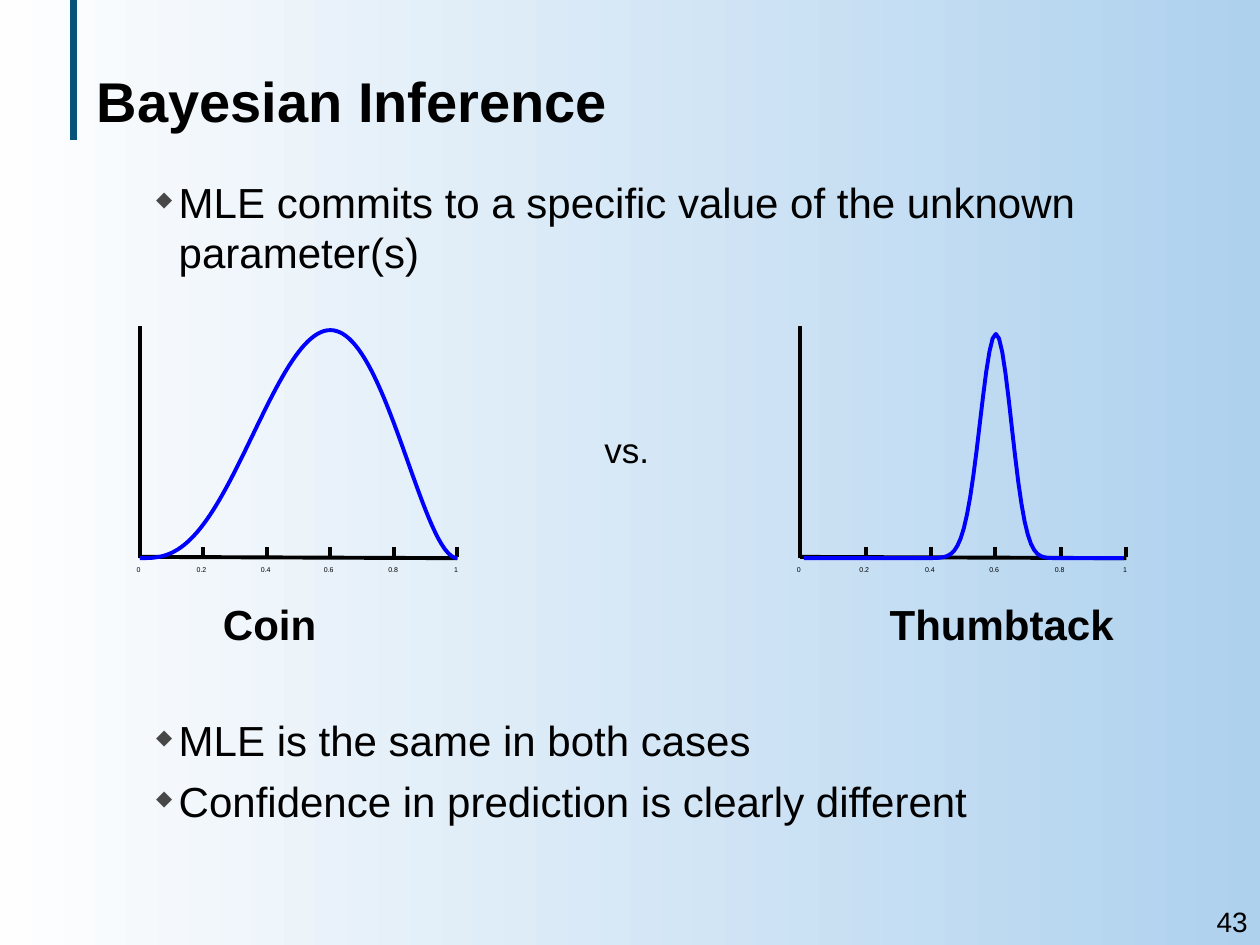
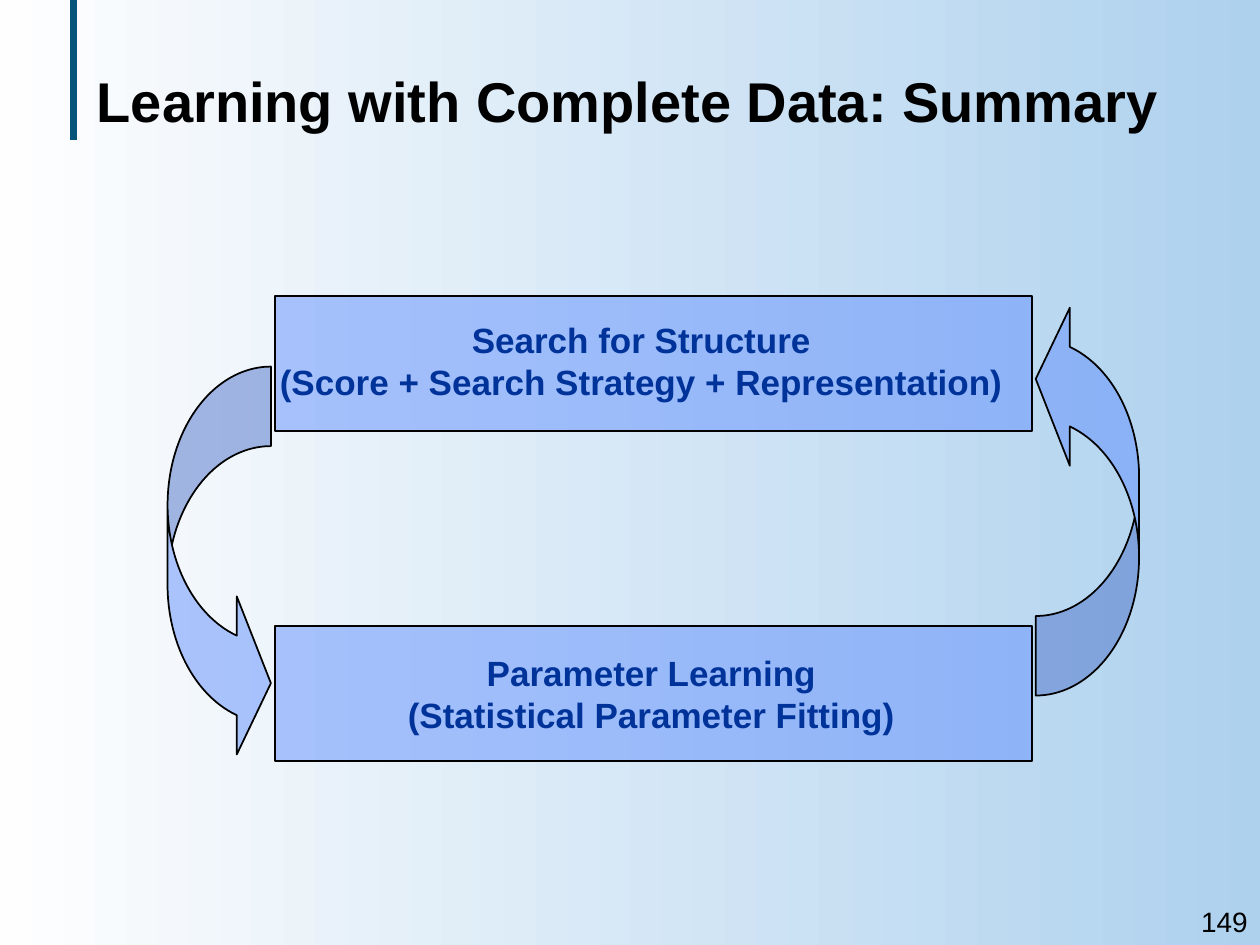
"""Build two slides on Bayesian inference and learning with complete data."""
from lxml.etree import SubElement
from pptx import Presentation
from pptx.dml.color import RGBColor
from pptx.enum.shapes import MSO_CONNECTOR as CONN, MSO_SHAPE as SHAPE
from pptx.enum.text import MSO_ANCHOR as ANCHOR, MSO_AUTO_SIZE as FIT, PP_ALIGN as ALIGN
from pptx.oxml.ns import qn
from pptx.util import Pt

PX = 9144
rgb = RGBColor.from_string
BLACK, NAVY, BLUE, PERIWINKLE = "000000", "003399", "0000FF", "618FFD"
SKY, WHITE, TEAL, GREY = "AED1EE", "FEFEFE", "07547A", "474747"


def add_text(s, box, lines, size, color=BLACK, bold=False, align=ALIGN.CENTER,
             anchor=ANCHOR.MIDDLE, wrap=False, margins=(10, 5), bullet=None):
    tf = s.shapes.add_textbox(*[v * PX for v in box]).text_frame
    mx, my = [m * PX for m in margins]
    frame = dict(word_wrap=wrap, vertical_anchor=anchor, margin_left=mx,
                 margin_right=mx, margin_top=my, margin_bottom=my,
                 auto_size=FIT.NONE if wrap else FIT.SHAPE_TO_FIT_TEXT)
    for name, value in frame.items():
        setattr(tf, name, value)
    for i, line in enumerate(lines):
        p = tf.add_paragraph() if i else tf.paragraphs[0]
        p.alignment = align
        if bullet:
            if i:
                p.space_before = Pt(6)
            pPr = p._p.get_or_add_pPr()
            pPr.set("marL", str(23 * PX))
            pPr.set("indent", str(-18 * PX))
            clr = SubElement(pPr, qn("a:buClr"))
            SubElement(clr, qn("a:srgbClr"), val=GREY)
            SubElement(pPr, qn("a:buSzPct"), val="50000")
            SubElement(pPr, qn("a:buChar"), char=bullet)
        r = p.add_run()
        r.text = line
        for name, value in dict(name="Arial", size=Pt(size), bold=bold).items():
            setattr(r.font, name, value)
        r.font.color.rgb = rgb(color)


def add_line(s, x1, y1, x2, y2, color=BLACK, width=2.25):
    ends = [v * PX for v in (x1, y1, x2, y2)]
    c = s.shapes.add_connector(CONN.STRAIGHT, *ends)
    c.line.color.rgb = rgb(color)
    c.line.width = Pt(width)
    SubElement(c._element.spPr, qn("a:effectLst"))


prs = Presentation()
prs.slide_width, prs.slide_height = 1000 * PX, 750 * PX
bg = prs.slide_master.background.fill
bg.gradient()
bg.gradient_angle = 180
for stop, position, color in zip(bg.gradient_stops, (0, 1), (SKY, WHITE)):
    stop.position = position
    stop.color.rgb = rgb(color)

slides = []
for title, number in [("Bayesian Inference", "43"),
                      ("Learning with Complete Data: Summary", "149")]:
    s = prs.slides.add_slide(prs.slide_layouts[6])
    add_line(s, 58, 0, 58, 111, TEAL, 4)
    add_text(s, (67, 17, 892, 125), [title], 32, bold=True, align=ALIGN.LEFT, wrap=True)
    add_text(s, (899, 713, 101, 37), [number], 16, align=ALIGN.RIGHT, wrap=True)
    slides.append(s)
inference, summary = slides

s = inference
bullets = [
    (135, 100, ["MLE commits to a specific value of the unknown parameter(s)"]),
    (562, 119, ["MLE is the same in both cases",
                "Confidence in prediction is clearly different"]),
]
for top, height, lines in bullets:
    add_text(s, (109, top, 849, height), lines, 24, align=ALIGN.LEFT,
             anchor=ANCHOR.TOP, wrap=True, bullet="◆")

BASE, TOP, MODE = 443, 259, 0.6
plots = [
    dict(axis=(111, 252), curve=(111, 252), peak=181, heads=3, tails=2,
         name="Coin", label=(157, 114)),
    dict(axis=(635, 259), curve=(638, 254), peak=178, heads=60, tails=40,
         name="Thumbtack", label=(686, 218)),
]
for plot in plots:
    left, width = plot["axis"]
    for i, tick in enumerate(["0", "0.2", "0.4", "0.6", "0.8", "1"]):
        x = round(left + width * i / 5)
        add_text(s, (x - 6, 449, 10, 7), [tick], 4, anchor=ANCHOR.TOP, margins=(0, 0))
        add_line(s, x, BASE - 1, x, BASE - 9)
    add_line(s, left, BASE - 1, left + width, BASE)
    add_line(s, left, TOP, left, BASE)

    left, width = plot["curve"]
    heads, tails = plot["heads"], plot["tails"]
    points = []
    for i in range(101):
        t = i / 100
        density = (t / MODE) ** heads * ((1 - t) / (1 - MODE)) ** tails
        x, y = left + width * t, BASE - plot["peak"] * density
        points.append((round(x * PX), round(y * PX)))
    fb = s.shapes.build_freeform(*points[0])
    fb.add_line_segments(points[1:], close=False)
    sp = fb.convert_to_shape()
    sp.shadow.inherit = False
    sp.fill.background()
    sp.line.color.rgb = rgb(BLUE)
    sp.line.width = Pt(2.25)

    x, w = plot["label"]
    add_text(s, (x, 470, w, 50), [plot["name"]], 24, bold=True)
add_text(s, (450, 335, 95, 44), ["vs."], 20)

s = summary
steps = [
    (SHAPE.RECTANGLE, (218, 235, 601, 107), 0),
    (SHAPE.RECTANGLE, (218, 497, 601, 107), 0),
    (SHAPE.CURVED_RIGHT_ARROW, (133, 291, 82, 314), 0),
    (SHAPE.CURVED_RIGHT_ARROW, (822, 238, 82, 314), 180),
]
for kind, box, rotation in steps:
    sp = s.shapes.add_shape(kind, *[v * PX for v in box])
    sp.shadow.inherit = False
    sp.rotation = rotation
    sp.fill.solid()
    sp.fill.fore_color.rgb = rgb(PERIWINKLE)
    clr = sp._element.spPr.find(qn("a:solidFill")).find(qn("a:srgbClr"))
    SubElement(clr, qn("a:alpha"), val="50000")
    sp.line.color.rgb = rgb(BLACK)
    sp.line.width = Pt(1)
    if kind == SHAPE.CURVED_RIGHT_ARROW:
        for i, value in enumerate((0.77, 1.53, 0.33)):
            sp.adjustments[i] = value
for box, lines in [
    ((202, 248, 614, 77),
     ["Search for Structure", "(Score + Search Strategy + Representation)"]),
    ((294, 512, 446, 77),
     ["Parameter Learning", "(Statistical Parameter Fitting)"]),
]:
    add_text(s, box, lines, 20, NAVY, bold=True)

prs.save("out.pptx")
